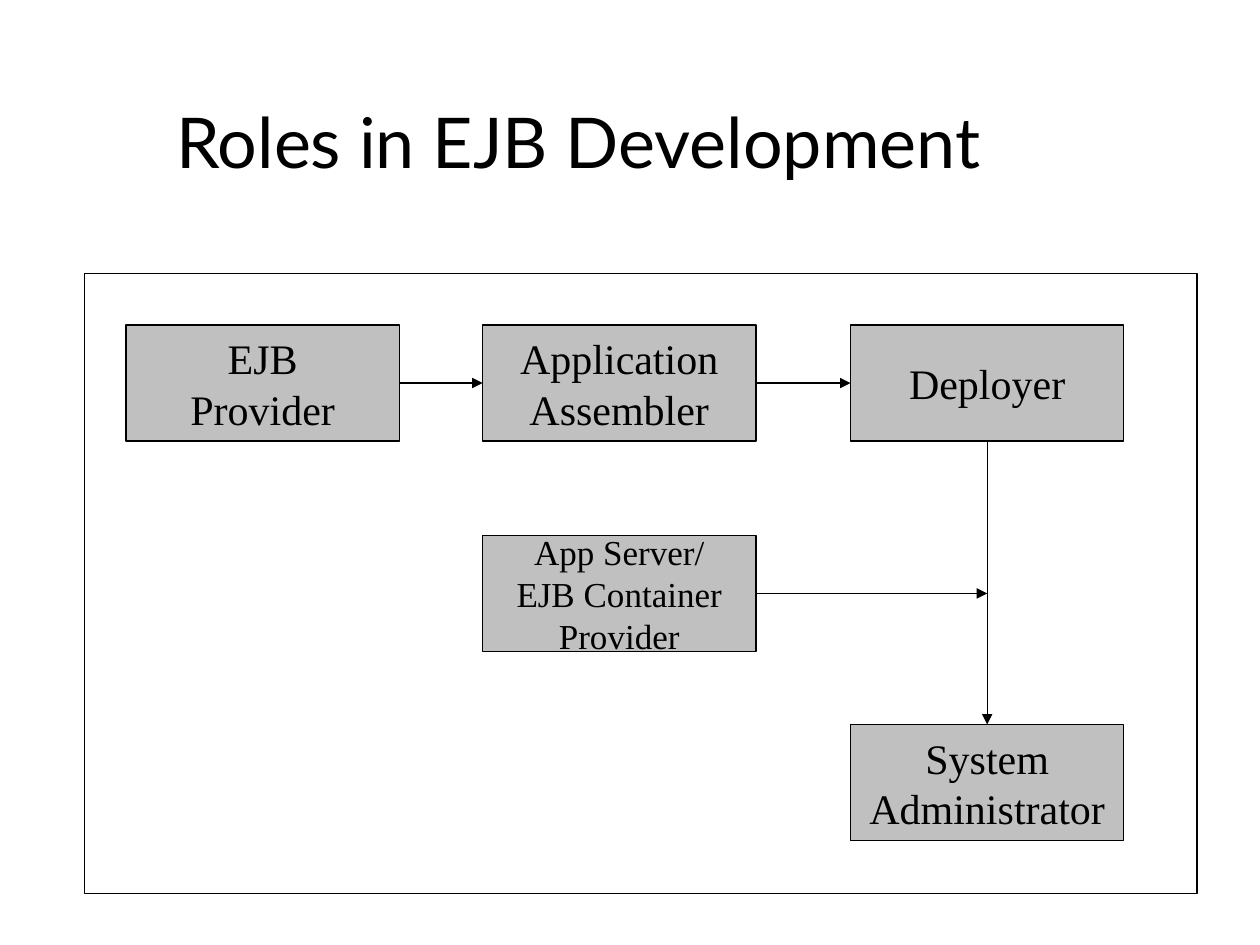
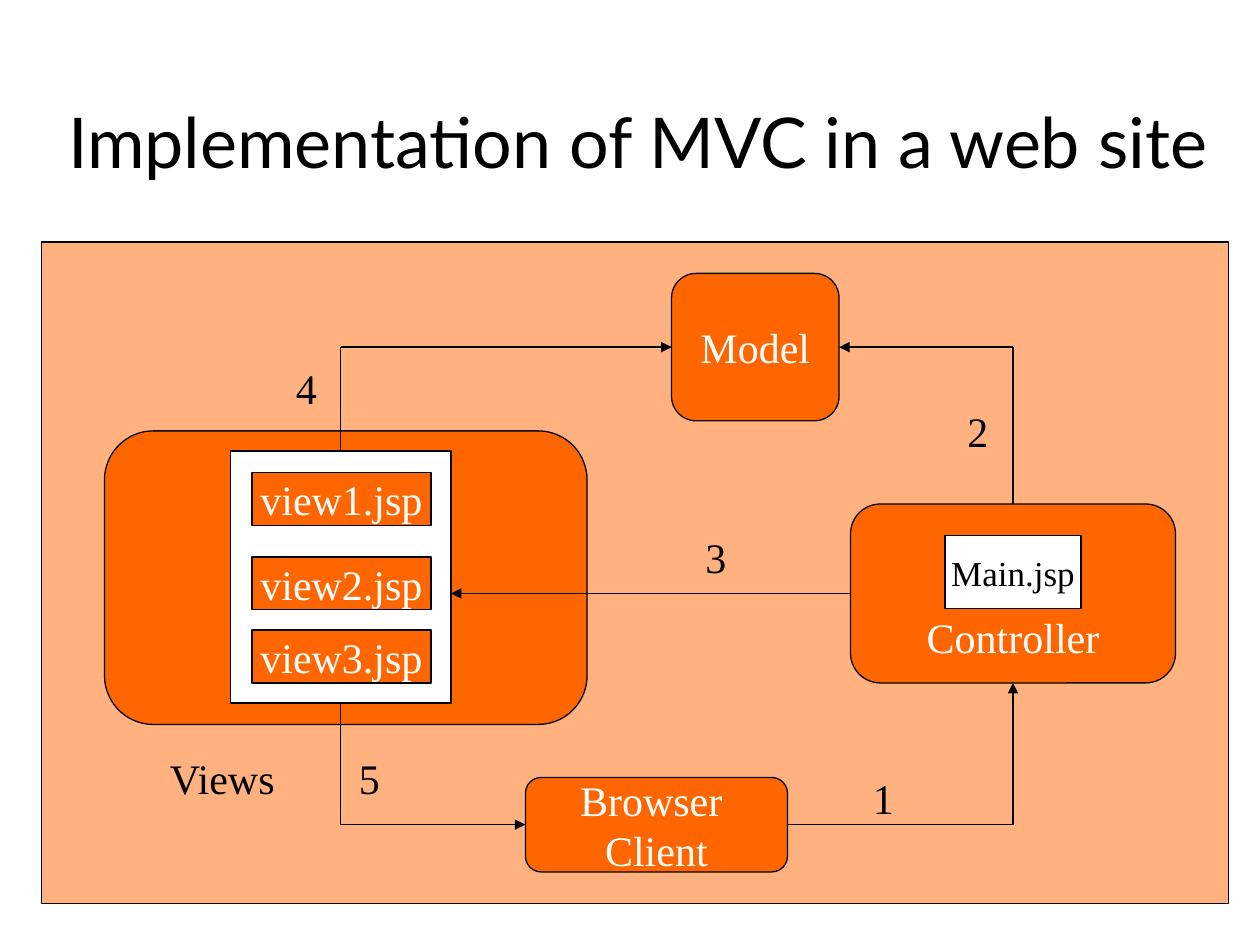
from collections import namedtuple
from dataclasses import dataclass

from pptx import Presentation
from pptx.dml.color import RGBColor as Rgb
from pptx.enum.shapes import MSO_CONNECTOR as Link, MSO_SHAPE as Kind
from pptx.enum.text import MSO_ANCHOR as Anchor, MSO_AUTO_SIZE as Fit, PP_ALIGN as Align
from pptx.oxml.ns import qn
from pptx.oxml.xmlchemy import OxmlElement as Node
from pptx.util import Inches, Pt

TOP, LEFT, BOTTOM, RIGHT = range(4)
Pin = namedtuple("Pin", "x y box side")


@dataclass(frozen=True)
class Theme:
    black: Rgb = Rgb(0, 0, 0)
    white: Rgb = Rgb(255, 255, 255)
    grey: Rgb = Rgb(0xC0, 0xC0, 0xC0)
    orange: Rgb = Rgb(0xFF, 0x66, 0)
    head: str = "Lato"
    body: str = "Times New Roman"
    title: int = 40
    large: int = 24
    small: int = 20
    line: float = 0.75


def point(x, y):
    return Pin(Inches(x), Inches(y), None, None)


def edge(box, side):
    x = {LEFT: box.left, RIGHT: box.left + box.width}.get(side, box.left + box.width // 2)
    y = {TOP: box.top, BOTTOM: box.top + box.height}.get(side, box.top + box.height // 2)
    return Pin(x, y, box, side)


class Deck:
    def __init__(self, theme):
        self.theme = theme
        self.show = Presentation()
        self.show.slide_width, self.show.slide_height = Inches(10), Inches(7.5)
        self.slide = None

    def fill_text(self, frame, text, size, color, font, align):
        for i, line in enumerate(text.split("\n")):
            para = frame.paragraphs[0] if i == 0 else frame.add_paragraph()
            para.alignment = align
            run = para.add_run()
            run.text = line
            run.font.size = Pt(size)
            run.font.name = font
            run.font.color.rgb = color

    def start(self, text, width, inset=0.1):
        self.slide = self.show.slides.add_slide(self.show.slide_layouts[5])
        title = self.slide.shapes.title
        title.left, title.top = Inches(0.44), Inches(0.25)
        title.width, title.height = Inches(width), Inches(1.25)
        frame = title.text_frame
        frame.auto_size = Fit.NONE
        frame.vertical_anchor = Anchor.BOTTOM
        frame.margin_left = Inches(inset)
        self.fill_text(frame, text, self.theme.title, self.theme.black,
                       self.theme.head, Align.LEFT)

    def box(self, x, y, w, h, fill, text="", size=None, color=None,
            kind=Kind.RECTANGLE, anchor=Anchor.MIDDLE, alpha=None):
        shape = self.slide.shapes.add_shape(kind, Inches(x), Inches(y), Inches(w), Inches(h))
        shape.shadow.inherit = False
        shape.fill.solid()
        shape.fill.fore_color.rgb = fill
        shape.line.color.rgb = self.theme.black
        shape.line.width = Pt(self.theme.line)
        if alpha:
            node = Node("a:alpha")
            node.set("val", str(alpha * 1000))
            shape.element.spPr.find(qn("a:solidFill"))[0].append(node)
        if text:
            frame = shape.text_frame
            frame.word_wrap = False
            frame.vertical_anchor = anchor
            if anchor == Anchor.BOTTOM:
                frame.margin_bottom = Inches(0.1)
            self.fill_text(frame, text, size or self.theme.large,
                           color or self.theme.black, self.theme.body, Align.CENTER)
        return shape

    def label(self, x, y, text, width=0.37):
        frame = self.slide.shapes.add_textbox(
            Inches(x), Inches(y), Inches(width), Inches(0.5)).text_frame
        frame.word_wrap = False
        frame.auto_size = Fit.SHAPE_TO_FIT_TEXT
        self.fill_text(frame, text, self.theme.large, self.theme.black,
                       self.theme.body, Align.LEFT)

    def link(self, start, end, arrow=True):
        line = self.slide.shapes.add_connector(Link.STRAIGHT, start.x, start.y, end.x, end.y)
        if start.box is not None:
            line.begin_connect(start.box, start.side)
        if end.box is not None:
            line.end_connect(end.box, end.side)
        line.line.color.rgb = self.theme.black
        line.line.width = Pt(self.theme.line)
        props = line.element.spPr
        if arrow:
            tip = Node("a:tailEnd")
            tip.set("type", "triangle")
            props.get_or_add_ln().append(tip)
        props.append(Node("a:effectLst"))

    def bend(self, start, end):
        vert = start.side in (TOP, BOTTOM)
        turn = Pin(start.x if vert else end.x, end.y if vert else start.y, None, None)
        self.link(start, turn, arrow=False)
        self.link(turn, end)


def roles(deck):
    theme = deck.theme
    deck.start("Roles in EJB Development", 8.5, inset=0.96)
    deck.box(0.67, 2.17, 8.83, 4.92, theme.white)

    def role(x, y, text, size=theme.large):
        return deck.box(x, y, 2.17, 0.92, theme.grey, text, size)

    maker = role(1, 2.58, "EJB\nProvider")
    joiner = role(3.83, 2.58, "Application\nAssembler")
    server = role(3.83, 4.25, "App Server/\nEJB Container\nProvider", theme.small)
    placer = role(6.75, 2.58, "Deployer")
    admin = role(6.75, 5.75, "System\nAdministrator")

    deck.link(edge(placer, BOTTOM), edge(admin, TOP))
    deck.link(edge(maker, RIGHT), edge(joiner, LEFT))
    deck.link(edge(joiner, RIGHT), edge(placer, LEFT))
    source = edge(server, RIGHT)
    deck.link(source, Pin(edge(placer, BOTTOM).x, source.y, None, None))


def mvc(deck):
    theme = deck.theme
    deck.start("Implementation of MVC in a web site", 9.39)
    deck.box(0.33, 1.92, 9.42, 5.25, theme.orange, alpha=50)

    def part(x, y, w, h, text="", anchor=Anchor.MIDDLE):
        return deck.box(x, y, w, h, theme.orange, text, color=theme.white,
                        kind=Kind.FLOWCHART_ALTERNATE_PROCESS, anchor=anchor)

    part(0.83, 3.42, 3.83, 2.33)
    control = part(6.75, 4, 2.58, 1.42, "Controller", Anchor.BOTTOM)
    model = part(5.33, 2.17, 1.33, 1.17, "Model")
    client = part(4.17, 6.17, 2.08, 0.75, "Browser \nClient")
    views = deck.box(1.83, 3.58, 1.75, 2, theme.white)
    for i, y in enumerate((3.75, 4.42, 5), 1):
        deck.box(2, y, 1.42, 0.42, theme.orange, f"view{i}.jsp", color=theme.white)
    deck.box(7.5, 4.25, 1.08, 0.58, theme.white, "Main.jsp", theme.small)

    deck.bend(edge(client, RIGHT), edge(control, BOTTOM))
    deck.bend(edge(control, TOP), edge(model, RIGHT))
    deck.bend(edge(views, TOP), edge(model, LEFT))
    deck.bend(edge(views, BOTTOM), edge(client, LEFT))
    deck.link(edge(control, LEFT), point(3.58, 4.71))

    deck.label(1.25, 5.92, "Views", 1.05)
    steps = ((6.83, 6.08), (7.58, 3.17), (5.5, 4.17), (2.25, 2.83), (2.75, 5.92))
    for i, (x, y) in enumerate(steps, 1):
        deck.label(x, y, str(i))


def main():
    deck = Deck(Theme())
    roles(deck)
    mvc(deck)
    deck.show.save("out.pptx")


if __name__ == "__main__":
    main()
